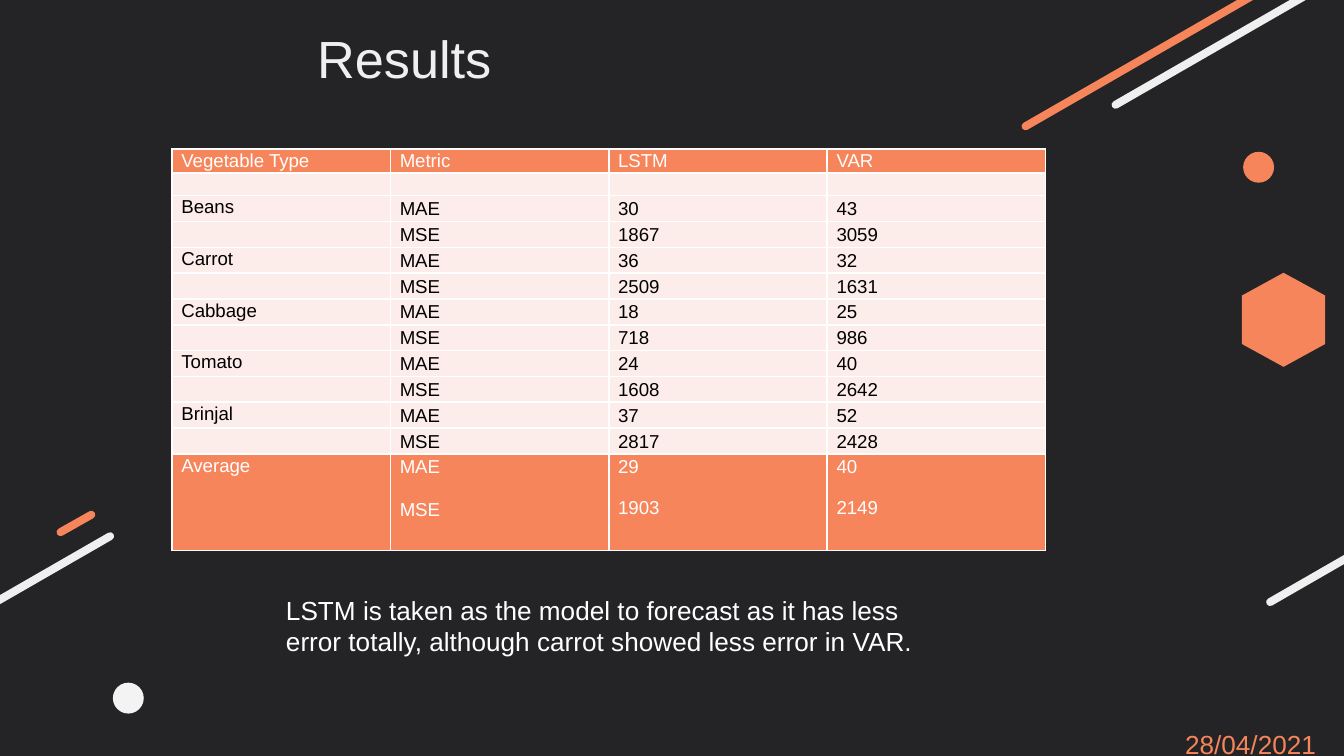
"""Build the forecast results slide."""
from lxml import etree
from pptx import Presentation
from pptx.dml.color import RGBColor
from pptx.enum.shapes import MSO_CONNECTOR, MSO_SHAPE
from pptx.enum.text import MSO_ANCHOR, PP_ALIGN
from pptx.oxml.ns import qn
from pptx.util import Inches, Pt

STRAIGHT = MSO_CONNECTOR.STRAIGHT
OVAL = MSO_SHAPE.OVAL
MIDDLE, BOTTOM = MSO_ANCHOR.MIDDLE, MSO_ANCHOR.BOTTOM
LEFT, CENTER = PP_ALIGN.LEFT, PP_ALIGN.CENTER

DARK = RGBColor(0x24, 0x24, 0x26)
ORANGE = RGBColor(0xF7, 0x85, 0x5B)
PALE = RGBColor(0xFD, 0xED, 0xEA)
LIGHT = RGBColor(0xEF, 0xEF, 0xEF)
OFF_WHITE = RGBColor(0xF3, 0xF3, 0xF3)
WHITE = RGBColor(0xFF, 0xFF, 0xFF)
BLACK = RGBColor(0, 0, 0)

FONT = "Arial"
SLIDE_WIDTH = Inches(10)
SLIDE_HEIGHT = SLIDE_WIDTH * 9 // 16
HEADINGS = ["Vegetable Type", "Metric", "LSTM", "VAR"]
ERRORS = [
    ("Beans", (30, 43), (1867, 3059)),
    ("Carrot", (36, 32), (2509, 1631)),
    ("Cabbage", (18, 25), (718, 986)),
    ("Tomato", (24, 40), (1608, 2642)),
    ("Brinjal", (37, 52), (2817, 2428)),
]
AVERAGES = ["Average", "MAE\nMSE", "29\n1903", "40\n2149"]
STRIPE_RUN, STRIPE_RISE = 1.86, 1.07


def add_run(paragraph, text, size, color):
    """Append a formatted run to a paragraph."""
    run = paragraph.add_run()
    run.text = text
    run.font.name = FONT
    run.font.size = Pt(size)
    run.font.color.rgb = color


def add_text(slide, box, text, color):
    """Add a wrapping text box and return its shape."""
    shape = slide.shapes.add_textbox(*map(Inches, box))
    shape.text_frame.word_wrap = True
    add_run(shape.text_frame.paragraphs[0], text, 14, color)
    return shape


def paint(shape, color):
    """Give a shape a flat fill without outline or shadow."""
    shape.shadow.inherit = False
    shape.fill.solid()
    shape.fill.fore_color.rgb = color
    shape.line.fill.background()


def add_dot(slide, left, top, color):
    """Add a small decorative circle."""
    paint(slide.shapes.add_shape(OVAL, Inches(left), Inches(top), Inches(0.23), Inches(0.23)), color)


def add_hexagon(slide):
    """Add the upright hexagon at the right edge."""
    points = [(9.55, 2.03), (9.24, 2.2), (9.24, 2.56), (9.55, 2.73), (9.86, 2.56), (9.86, 2.2)]
    corners = [(Inches(x), Inches(y)) for x, y in points]
    builder = slide.shapes.build_freeform(*corners[0])
    builder.add_line_segments(corners[1:], close=True)
    paint(builder.convert_to_shape(), ORANGE)


def add_stripe(slide, left, bottom, color, run=STRIPE_RUN, rise=STRIPE_RISE):
    """Add a rising diagonal stripe with round ends."""
    stripe = slide.shapes.add_connector(
        STRAIGHT, Inches(left), Inches(bottom), Inches(left + run), Inches(bottom - rise)
    )
    stripe.line.color.rgb = color
    stripe.line.width = Pt(4.25)
    stripe.line._get_or_add_ln().set("cap", "rnd")
    etree.SubElement(stripe._element.spPr, qn("a:effectLst"))


def fill_cell(cell, text, fill, color, loose):
    """Fill a cell, with looser line spacing for measured values."""
    cell.fill.solid()
    cell.fill.fore_color.rgb = fill
    cell.margin_left = cell.margin_right = Inches(0.07)
    cell.margin_top = cell.margin_bottom = 0
    frame = cell.text_frame
    for index, line in enumerate(text.split("\n")):
        paragraph = frame.add_paragraph() if index else frame.paragraphs[0]
        wide = loose and not (index and line.isdigit())
        paragraph.line_spacing = 1.15 if wide else 1.07
        paragraph.space_after = Pt(10 if wide else 8)
        if line:
            add_run(paragraph, line, 10, color)
        else:
            paragraph._p.get_or_add_endParaRPr().set("sz", "1000")


def add_error_table(slide):
    """Add the table of forecast errors per vegetable."""
    rows = [HEADINGS, [""] * len(HEADINGS)]
    for vegetable, absolute, squared in ERRORS:
        rows.append([vegetable, "MAE", *map(str, absolute)])
        rows.append(["", "MSE", *map(str, squared)])
    rows.append(AVERAGES)
    table = slide.shapes.add_table(
        len(rows), len(HEADINGS), Inches(1.28), Inches(1.11), Inches(6.5), Inches(2.88)
    ).table
    table.first_row = table.horz_banding = False
    for row_index, values in enumerate(rows):
        accent = values in (HEADINGS, AVERAGES)
        table.rows[row_index].height = Inches(0.72 if values is AVERAGES else 0.13)
        for column, text in enumerate(values):
            fill_cell(
                table.cell(row_index, column), text,
                ORANGE if accent else PALE, WHITE if accent else BLACK,
                loose=row_index > 1 and column > 0,
            )


def add_title(slide):
    """Place and format the slide title."""
    title = slide.shapes.title
    title.left, title.top, title.width, title.height = map(Inches, (2.26, 0, 7.94, 0.76))
    frame = title.text_frame
    frame.vertical_anchor = BOTTOM
    frame.margin_left = frame.margin_right = frame.margin_top = frame.margin_bottom = Inches(0.1)
    frame.paragraphs[0].alignment = LEFT
    add_run(frame.paragraphs[0], "Results", 28, LIGHT)


def add_date(slide):
    """Add the date at the bottom right corner."""
    frame = add_text(slide, (8.72, 5.29, 1.28, 0.27), "28/04/2021", ORANGE).text_frame
    frame.vertical_anchor = MIDDLE
    frame.margin_left = frame.margin_bottom = 0
    frame.margin_right = Inches(0.11)
    frame.margin_top = Inches(0.23)
    frame.paragraphs[0].alignment = CENTER


def main():
    """Build and save the presentation."""
    presentation = Presentation()
    presentation.slide_width, presentation.slide_height = SLIDE_WIDTH, SLIDE_HEIGHT
    slide = presentation.slides.add_slide(presentation.slide_layouts[5])
    slide.background.fill.solid()
    slide.background.fill.fore_color.rgb = DARK
    add_dot(slide, 9.25, 1.13, ORANGE)
    add_hexagon(slide)
    add_stripe(slide, 7.63, 0.94, ORANGE)
    for left, bottom in ((8.3, 0.78), (9.45, 4.48), (-1.04, 5.06)):
        add_stripe(slide, left, bottom, LIGHT)
    add_dot(slide, 0.84, 5.08, OFF_WHITE)
    add_stripe(slide, 0.45, 3.96, ORANGE, run=0.23, rise=0.13)
    add_date(slide)
    add_title(slide)
    add_error_table(slide)
    add_text(
        slide, (2.03, 4.37, 5, 0.57),
        "LSTM is taken as the model to forecast as it has less error totally, "
        "although carrot showed less error in VAR.", WHITE,
    )
    presentation.save("out.pptx")


if __name__ == "__main__":
    main()
